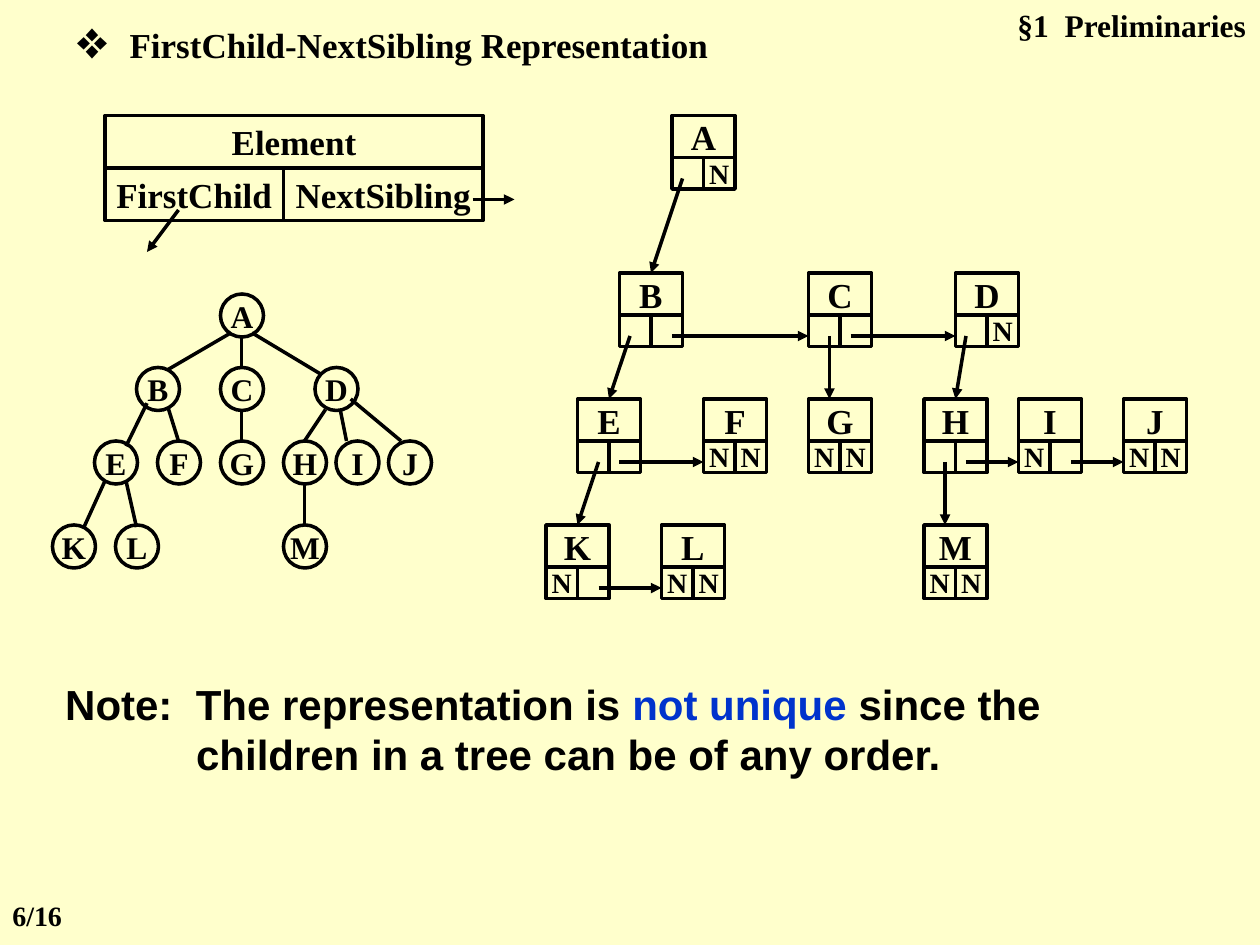
from dataclasses import dataclass
from typing import Any, Optional

import pptx
import pptx.dml.color
import pptx.enum.shapes
import pptx.enum.text
import pptx.oxml
import pptx.oxml.ns
import pptx.util
from pptx.util import Cm, Pt

GRID = 2.54 / 12  # the drawing sits on a grid of twelve steps to the inch
BLACK, BLUE, CREAM = "000000", "0033CC", "FFFFCC"
SERIF, SANS = "Times New Roman", "Arial"
SHAPE = pptx.enum.shapes.MSO_SHAPE
ALIGN = pptx.enum.text.PP_ALIGN
ANCHOR = pptx.enum.text.MSO_ANCHOR
CIRCLE = 4.1
NODE_WIDTH, NAME_HEIGHT, CELL = 6, 4, 3


@dataclass
class Circle:
    name: str
    x: float
    y: float


@dataclass
class Edge:
    x1: float
    y1: float
    x2: float
    y2: float


@dataclass
class ListNode:
    """Links name other nodes; the offsets are where the arrows start."""
    name: str
    x: float
    y: float
    child: Optional[str] = None
    sibling: Optional[str] = None
    child_offset: float = 1
    sibling_offset: float = 5
    straight_down: bool = False


CIRCLES = [
    Circle("A", 21, 28), Circle("B", 13, 35), Circle("C", 21, 35), Circle("D", 30, 35),
    Circle("E", 9, 42), Circle("F", 15, 42), Circle("G", 21, 42), Circle("H", 27, 42),
    Circle("I", 32, 42), Circle("J", 37, 42),
    Circle("K", 5, 50), Circle("L", 11, 50), Circle("M", 27, 50),
]
EDGES = [
    Edge(23, 32, 23, 35), Edge(23, 39, 23, 42), Edge(29, 46, 29, 50),
    Edge(22, 31.7, 16, 35.2), Edge(24, 31.7, 30.5, 35.6),
    Edge(14, 38.4, 12, 42.5), Edge(16, 38.8, 17, 42),
    Edge(10, 45.8, 8, 50.2), Edge(12, 45.8, 13, 50.2),
    Edge(31, 39, 29, 42), Edge(32.4, 39, 33, 42), Edge(33.4, 38, 38.2, 42),
]
NODES = [
    ListNode("A", 64, 11, child="B"),
    ListNode("B", 59, 26, child="E", sibling="C"),
    ListNode("C", 77, 26, child="G", sibling="D", child_offset=2, sibling_offset=4,
             straight_down=True),
    ListNode("D", 91, 26, child="H"),
    ListNode("E", 55, 38, child="K", sibling="F", child_offset=2, sibling_offset=4),
    ListNode("F", 67, 38),
    ListNode("G", 77, 38),
    ListNode("H", 88, 38, child="M", sibling="I", child_offset=2, sibling_offset=4,
             straight_down=True),
    ListNode("I", 97, 38, sibling="J"),
    ListNode("J", 107, 38),
    ListNode("K", 52, 50, sibling="L"),
    ListNode("L", 63, 50),
    ListNode("M", 88, 50),
]


def color(value: str) -> pptx.dml.color.RGBColor:
    return pptx.dml.color.RGBColor.from_string(value)


def grid(steps: float) -> pptx.util.Length:
    return Cm(steps * GRID)


def format_span(span: Any, size: float, font: str = SERIF, ink: str = BLACK) -> None:
    span.font.name, span.font.size, span.font.bold = font, Pt(size), True
    span.font.color.rgb = color(ink)


def draw_shape(shapes: Any, kind: Any, x: float, y: float, width: float, height: float,
               text: str = "", size: float = 20) -> Any:
    box = shapes.add_shape(kind, grid(x), grid(y), grid(width), grid(height))
    box.shadow.inherit = False
    box.fill.background()
    box.line.color.rgb, box.line.width = color(BLACK), Pt(2)
    if text:
        frame = box.text_frame
        frame.text = text
        frame.word_wrap = False
        frame.vertical_anchor = ANCHOR.MIDDLE
        frame.margin_left = frame.margin_right = frame.margin_top = frame.margin_bottom = 0
        frame.paragraphs[0].alignment = ALIGN.CENTER
        format_span(frame.paragraphs[0].runs[0], size)
    return box


def draw_line(shapes: Any, edge: Edge, arrow: bool = False) -> Any:
    line = shapes.add_connector(pptx.enum.shapes.MSO_CONNECTOR.STRAIGHT,
                                grid(edge.x1), grid(edge.y1), grid(edge.x2), grid(edge.y2))
    line.line.color.rgb, line.line.width = color(BLACK), Pt(2)
    if arrow:
        tail = pptx.oxml.parse_xml(f'<a:tailEnd {pptx.oxml.ns.nsdecls("a")} type="triangle"/>')
        line.line._get_or_add_ln().append(tail)
    effects = pptx.oxml.parse_xml(f'<a:effectLst {pptx.oxml.ns.nsdecls("a")}/>')
    line._element.spPr.append(effects)
    return line


def draw_record(shapes: Any) -> None:
    """Draw the layout of one node, with its two outgoing pointers."""
    draw_shape(shapes, SHAPE.RECTANGLE, 10, 16, 17, 5, "FirstChild")
    draw_shape(shapes, SHAPE.RECTANGLE, 27, 16, 19, 5, "NextSibling")
    draw_shape(shapes, SHAPE.RECTANGLE, 10, 11, 36, 5, "Element")
    for edge in (Edge(17, 20, 14, 24), Edge(45, 19, 49, 19)):
        draw_line(shapes, edge, arrow=True)


def draw_tree(shapes: Any) -> None:
    for circle in CIRCLES:
        draw_shape(shapes, SHAPE.OVAL, circle.x, circle.y, CIRCLE, CIRCLE, circle.name, 18)
    for edge in EDGES:
        draw_line(shapes, edge)


def draw_linked_nodes(shapes: Any) -> None:
    by_name = {node.name: node for node in NODES}
    name_boxes = {}
    for node in NODES:
        for column, link in enumerate((node.child, node.sibling)):
            draw_shape(shapes, SHAPE.RECTANGLE, node.x + column * CELL, node.y + NAME_HEIGHT,
                       CELL, CELL, "" if link else "N", 16)
        name_boxes[node.name] = draw_shape(shapes, SHAPE.RECTANGLE, node.x, node.y,
                                           NODE_WIDTH, NAME_HEIGHT, node.name)
    for node in NODES:
        start_y = node.y + 6
        if node.child:
            child = by_name[node.child]
            start_x = node.x + node.child_offset
            end_x = start_x if node.straight_down else child.x + NODE_WIDTH / 2
            arrow = draw_line(shapes, Edge(start_x, start_y, end_x, child.y), arrow=True)
            if not node.straight_down:
                arrow.end_connect(name_boxes[node.child], 0)
        if node.sibling:
            draw_line(shapes, Edge(node.x + node.sibling_offset, start_y,
                                   by_name[node.sibling].x, start_y), arrow=True)


def write_text(box: Any, left: float, top: float, width: float, height: float,
               spans: list[tuple[str, float, str]], font: str = SERIF,
               align: Any = ALIGN.LEFT) -> Any:
    """Place a text box (in cm) and fill it with spans of text, size and colour."""
    box.left, box.top, box.width, box.height = Cm(left), Cm(top), Cm(width), Cm(height)
    frame = box.text_frame
    frame.word_wrap = True
    frame.auto_size = pptx.enum.text.MSO_AUTO_SIZE.NONE
    frame.vertical_anchor = ANCHOR.TOP
    para = frame.paragraphs[0]
    para.alignment, para.space_before = align, Pt(0)
    for text, size, ink in spans:
        span = para.add_run()
        span.text = text
        format_span(span, size, font, ink)
    return para


def main() -> None:
    deck = pptx.Presentation()
    deck.slide_width, deck.slide_height = Cm(25.4), Cm(19.05)
    page = deck.slides.add_slide(deck.slide_layouts[1])
    page.background.fill.solid()
    page.background.fill.fore_color.rgb = color(CREAM)

    write_text(page.shapes.title, 1.27, 0.2, 13.97, 1.27,
               [("❖  ", 24, BLACK), ("FirstChild-NextSibling Representation", 20, BLACK)])
    for draw in (draw_record, draw_tree, draw_linked_nodes):
        draw(page.shapes.add_group_shape().shapes)

    note = write_text(page.placeholders[1], 1.06, 13.55, 22.01, 2.29,
                      [("Note:  The representation is ", 24, BLACK), ("not unique", 24, BLUE),
                       (" since the children in a tree can be of any order.", 24, BLACK)], SANS)
    properties = note._p.get_or_add_pPr()
    properties.set("marL", str(Cm(2.64)))
    properties.set("indent", str(-Cm(2.64)))
    properties.append(pptx.oxml.parse_xml(f'<a:buNone {pptx.oxml.ns.nsdecls("a")}/>'))

    write_text(page.shapes.add_textbox(0, 0, 0, 0), 19.25, 0, 6.12, 1.02,
               [("§1  Preliminaries", 18, BLACK)], align=ALIGN.RIGHT)
    write_text(page.shapes.add_textbox(0, 0, 0, 0), 0, 17.98, 1.9, 0.94, [("6/16", 16, BLACK)])
    deck.save("out.pptx")


if __name__ == "__main__":
    main()
